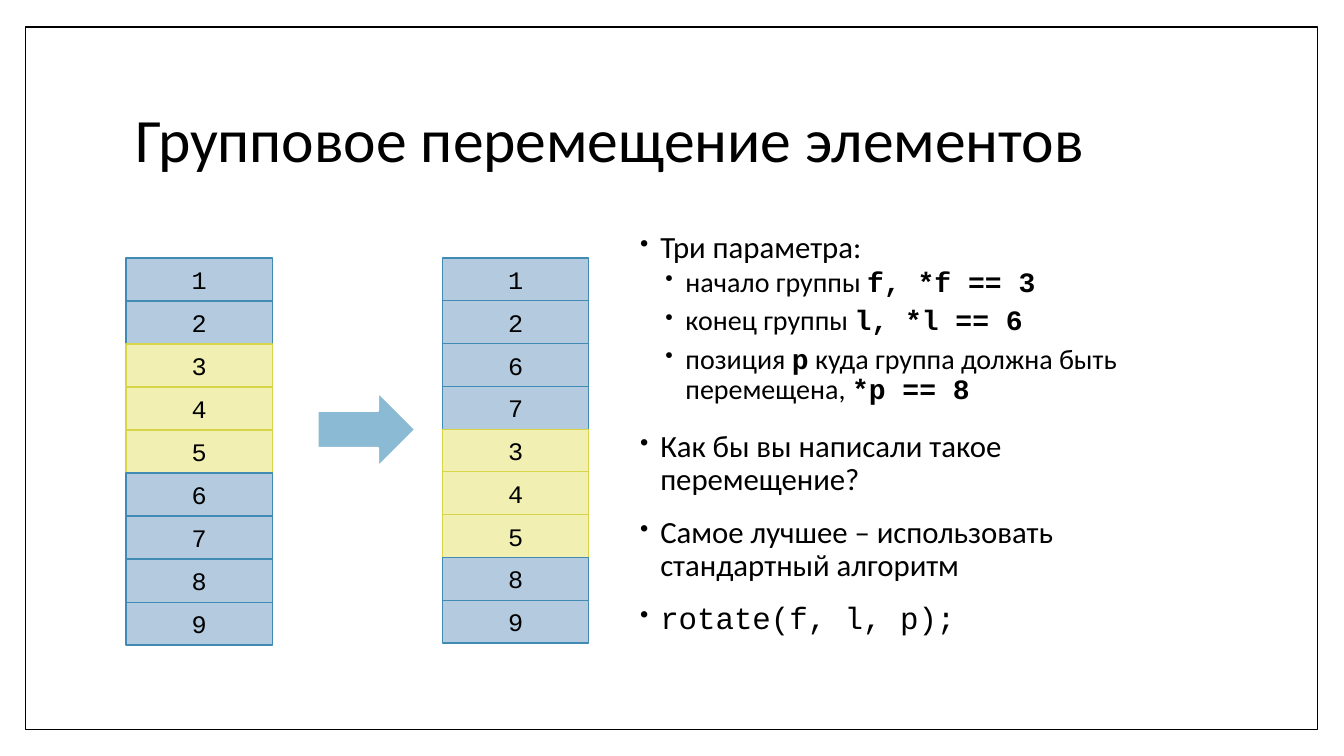
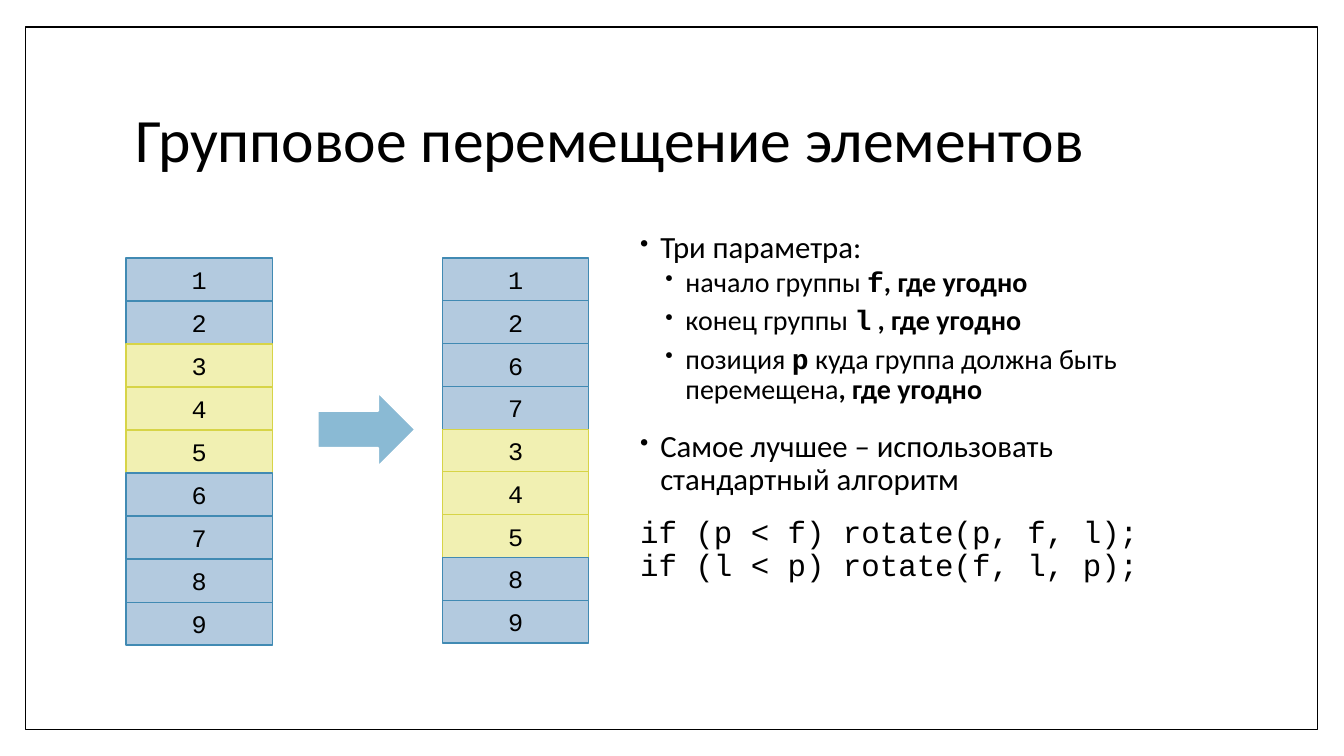
from dataclasses import dataclass

from lxml import etree
from pptx import Presentation
from pptx.dml.color import RGBColor as RGB
from pptx.enum.shapes import MSO_SHAPE as SHAPE
from pptx.enum.text import MSO_ANCHOR as ANCHOR, PP_ALIGN as ALIGN
from pptx.oxml.ns import qn
from pptx.util import Inches, Pt


@dataclass(frozen=True)
class Theme:
    black = RGB.from_string("000000")
    white = RGB.from_string("FFFFFF")
    blue = (RGB.from_string("B3CADF"), RGB.from_string("418AB3"))
    yellow = (RGB.from_string("F1F0B2"), RGB.from_string("D7D447"))
    arrow = RGB.from_string("8ABAD4")
    sans = "Calibri"
    mono = "Courier New"
    title = 44
    body = 22
    sub = 20
    cell = 18


T = Theme()


def write(p, runs, size=T.body, align=None, spacing=None, before=0, after=0,
          margin=0, hang=0, bullet=False):
    """Fill a paragraph with (text, font, bold) runs."""
    pPr = p._p.get_or_add_pPr()
    pPr.set("marL", str(Inches(margin)))
    pPr.set("indent", str(-Inches(hang)))
    if bullet:
        color = etree.SubElement(pPr, qn("a:buClr"))
        etree.SubElement(color, qn("a:srgbClr"), val=str(T.black))
        etree.SubElement(pPr, qn("a:buSzPct"), val="80000")
        etree.SubElement(pPr, qn("a:buChar"), char="•")
    p.alignment, p.line_spacing = align, spacing
    p.space_before, p.space_after = Pt(before), Pt(after)
    for text, font, bold in runs:
        for i, line in enumerate(text.split("\n")):
            if i:
                p.add_line_break()
            r = p.add_run()
            r.text = line
            r.font.name, r.font.size, r.font.bold = font, Pt(size), bold
            r.font.color.rgb = T.black


def add_box(s, kind, at, fill, line, width):
    """Add a preset shape with plain fill and outline."""
    sp = s.shapes.add_shape(kind, *map(Inches, at))
    sp.shadow.inherit = False
    sp.fill.solid()
    sp.fill.fore_color.rgb = fill
    sp.line.color.rgb = line
    sp.line.width = Pt(width)
    return sp


# Paragraph styles
top = dict(size=T.body, spacing=0.9, before=14, margin=0.25, hang=0.2, bullet=True)
first = {**top, "before": 0}
sub = dict(size=T.sub, spacing=0.9, before=2, after=4, margin=0.5, hang=0.2, bullet=True)
code = dict(size=T.body, spacing=0.9, before=14, margin=0.05)

# Text of each slide
intro = (first, [("Три параметра:", T.sans, False)])
advice = (top, [("Самое лучшее – использовать стандартный алгоритм", T.sans, False)])
bodies = [
    [
        intro,
        (sub, [("начало группы ", T.sans, False), ("f, *f == 3", T.mono, True)]),
        (sub, [("конец группы ", T.sans, False), ("l, *l == 6", T.mono, True)]),
        (sub, [("позиция ", T.sans, False), ("p", T.mono, True),
               (" куда группа должна быть перемещена, ", T.sans, False),
               ("*p == 8", T.mono, True)]),
        (top, [("Как бы вы написали такое перемещение?", T.sans, False)]),
        advice,
        (top, [("rotate(f, l, p);", T.mono, False)]),
    ],
    [
        intro,
        (sub, [("начало группы ", T.sans, False), ("f", T.mono, True),
               (", где угодно", T.sans, True)]),
        (sub, [("конец группы ", T.sans, False), ("l", T.mono, True),
               (" , где угодно", T.sans, True)]),
        (sub, [("позиция ", T.sans, False), ("p", T.mono, True),
               (" куда группа должна быть перемещена", T.sans, False),
               (", где угодно", T.sans, True)]),
        advice,
        (code, [("if (p < f) rotate(p, f, l);\nif (l < p) rotate(f, l, p);",
                 T.mono, False)]),
    ],
]

# Columns of cells: left edge, bottom edge, order of values
columns = [(1.25, 6.4, "123456789"), (4.39, 6.38, "126734589")]
moved = "345"
cells_top, cell_width = 2.56, 1.45

prs = Presentation()
prs.slide_width, prs.slide_height = Inches(13.33), Inches(7.5)

for body in bodies:
    s = prs.slides.add_slide(prs.slide_layouts[6])

    # Frame
    add_box(s, SHAPE.RECTANGLE, (0.25, 0.27, 12.82, 6.97), T.white, T.black, 1)

    # Title
    tf = s.shapes.add_textbox(*map(Inches, (1.25, 0.67, 10.8, 1.48))).text_frame
    tf.word_wrap = True
    tf.vertical_anchor = ANCHOR.MIDDLE
    write(tf.paragraphs[0], [("Групповое перемещение элементов", T.sans, False)],
          size=T.title, spacing=0.9)

    # Body text
    tf = s.shapes.add_textbox(*map(Inches, (6.2, 2.25, 5.85, 4.38))).text_frame
    tf.word_wrap = True
    for i, (style, runs) in enumerate(body):
        p = tf.add_paragraph() if i else tf.paragraphs[0]
        write(p, runs, **style)

    # Cells before and after the move
    for left, bottom, values in columns:
        height = (bottom - cells_top) / len(values)
        for row, value in enumerate(values):
            fill, line = T.yellow if value in moved else T.blue
            sp = add_box(s, SHAPE.RECTANGLE,
                         (left, cells_top + row * height, cell_width, height),
                         fill, line, 0.79)
            tf = sp.text_frame
            tf.vertical_anchor = ANCHOR.MIDDLE
            write(tf.paragraphs[0], [(value, T.mono, False)], size=T.cell,
                  align=ALIGN.CENTER)

    # Arrow between the columns
    add_box(s, SHAPE.RIGHT_ARROW, (3.15, 3.89, 0.97, 0.74), T.arrow, T.white, 1.5)

prs.save("out.pptx")
